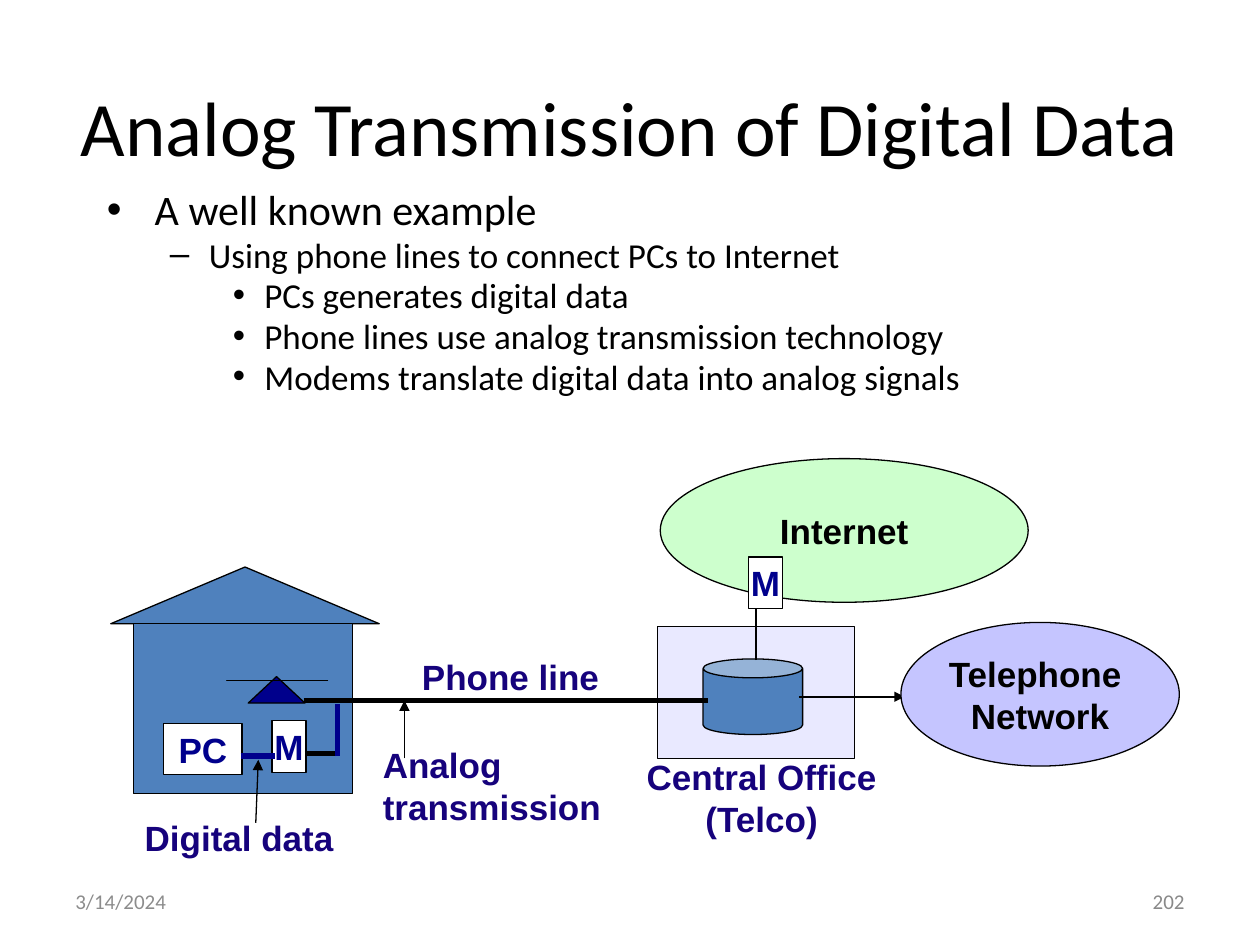
from dataclasses import dataclass
from math import cos, pi, sin

from lxml.etree import SubElement
from pptx import Presentation
from pptx.dml.color import RGBColor
from pptx.enum.shapes import MSO_CONNECTOR as Link, MSO_SHAPE as Shape
from pptx.enum.text import MSO_ANCHOR as Anchor, MSO_AUTO_SIZE as Fit, PP_ALIGN as Align
from pptx.oxml.ns import qn
from pptx.util import Inches, Pt

# Grid of 100 columns by 75 rows; every cell is a tenth of an inch
COLUMNS, ROWS = 100, 75
CELL = Inches(0.1)


@dataclass(frozen=True)
class Theme:
    black: str = "000000"
    white: str = "FFFFFF"
    building: str = "4F81BD"
    digital: str = "00008C"
    label: str = "16027C"
    office: str = "E9E9FF"
    telephone: str = "C5C5FF"
    internet: str = "CDFFCD"
    date: str = "8C8C8C"
    number: str = "898989"
    text_font: str = "Calibri"
    diagram_font: str = "Arial"
    title_size: int = 44
    lead_size: int = 24
    base_size: int = 20
    footer_size: int = 12
    thin: float = 0.75
    medium: float = 1
    thick: float = 3


THEME = Theme()

# Level: left indent and hanging indent in cells, line spacing, bullet, size
LEVELS = [
    (3.8, 3.8, 1.0, "•", THEME.lead_size),
    (8.1, 3.1, 0.8, "–", THEME.base_size),
    (12.5, 2.5, 0.8, "•", THEME.base_size),
]
POINTS = [
    (0, "A well known example"),
    (1, "Using phone lines to connect PCs to Internet"),
    (2, "PCs generates digital data"),
    (2, "Phone lines use analog transmission technology"),
    (2, "Modems translate digital data into analog signals"),
]


def cells(*values):
    return [round(value * CELL) for value in values]


def apply(target, formats):
    for name, value in formats.items():
        setattr(target, name, value)


def style_font(paragraph, size, color, face, bold=False):
    apply(paragraph.font, {"size": Pt(size), "name": face, "bold": bold})
    paragraph.font.color.rgb = RGBColor.from_string(color)


def style_outline(line, color, width):
    line.color.rgb = RGBColor.from_string(color)
    line.width = Pt(width)


def paint(part, fill, outline=THEME.black):
    part.shadow.inherit = False
    part.fill.solid()
    part.fill.fore_color.rgb = RGBColor.from_string(fill)
    style_outline(part.line, outline, THEME.thin)


def write(frame, lines, align, *font):
    for index, line in enumerate(lines):
        paragraph = frame.paragraphs[0] if index == 0 else frame.add_paragraph()
        apply(paragraph, {"text": line, "alignment": align})
        style_font(paragraph, *font)


def add_text(slide, box, lines, align, *font, **frame_formats):
    frame = slide.shapes.add_textbox(*cells(*box)).text_frame
    apply(frame, {"word_wrap": True, **frame_formats})
    write(frame, lines, align, *font)


def add_label(slide, box, *lines, align=Align.LEFT, wrap=True):
    add_text(slide, box, lines, align, THEME.base_size, THEME.label,
             THEME.diagram_font, True, word_wrap=wrap, auto_size=Fit.SHAPE_TO_FIT_TEXT)


def add_part(slide, kind, box, fill, *lines, color=THEME.black):
    part = slide.shapes.add_shape(kind, *cells(*box))
    paint(part, fill)
    if lines:
        apply(part.text_frame, {"word_wrap": False, "vertical_anchor": Anchor.MIDDLE})
        write(part.text_frame, lines, Align.CENTER, THEME.base_size, color,
              THEME.diagram_font, True)


def add_device(slide, box, name):
    add_part(slide, Shape.RECTANGLE, box, THEME.white, name, color=THEME.digital)


def add_link(slide, start, end, width=THEME.thin, color=THEME.black, arrow=False):
    link = slide.shapes.add_connector(Link.STRAIGHT, *cells(*start, *end))
    style_outline(link.line, color, width)
    if arrow:
        SubElement(link.line._get_or_add_ln(), qn("a:tailEnd"), type="triangle")
    SubElement(link._element.spPr, qn("a:effectLst"))


def add_handset(slide, center_x, base_y, outer, inner, steps=24):
    """Half ring between two half ellipses, each given as (x radius, y radius)."""
    angles = [pi * step / steps for step in range(steps + 1)]
    outline = [(center_x + rx * cos(angle), base_y - ry * sin(angle))
               for (rx, ry), sweep in ((outer, angles), (inner, angles[::-1]))
               for angle in sweep]
    builder = slide.shapes.build_freeform(*outline[0], scale=CELL)
    builder.add_line_segments(outline[1:], close=True)
    paint(builder.convert_to_shape(), THEME.digital)


def add_bullets(slide, box):
    frame = slide.shapes.add_textbox(*cells(*box)).text_frame
    frame.word_wrap = True
    for index, (level, text) in enumerate(POINTS):
        left, hanging, spacing, bullet, size = LEVELS[level]
        paragraph = frame.paragraphs[0] if index == 0 else frame.add_paragraph()
        properties = paragraph._p.get_or_add_pPr()
        for name, value in zip(("marL", "indent"), cells(left, -hanging)):
            properties.set(name, str(value))
        SubElement(properties, qn("a:buFont"), typeface=THEME.diagram_font)
        SubElement(properties, qn("a:buChar"), char=bullet)
        apply(paragraph, {"text": text, "level": level, "line_spacing": spacing})
        if index:
            paragraph.space_before = Pt(size * 0.2)
        style_font(paragraph, size, THEME.black, THEME.text_font)


def draw_house(slide):
    add_part(slide, Shape.ISOSCELES_TRIANGLE, (8.8, 45, 21.3, 4.5), THEME.building)
    add_part(slide, Shape.RECTANGLE, (10.6, 49.5, 17.4, 13.5), THEME.building)
    # Telephone
    add_part(slide, Shape.ISOSCELES_TRIANGLE, (19.7, 53.7, 4.5, 2.1), THEME.digital)
    add_handset(slide, 22, 54.3, outer=(3.8, 0.75), inner=(1.9, 0.4))


def draw_phone_line(slide):
    add_link(slide, (24.1, 55.6), (56.2, 55.6), THEME.thick)
    add_label(slide, (32.5, 51.5, 16.1, 4.3), "Phone line", wrap=False)
    add_label(slide, (29.4, 58.5, 25.3, 7.7), "Analog transmission")
    add_link(slide, (32.1, 60.2), (32.1, 55.6), arrow=True)


def draw_computer(slide):
    add_device(slide, (13, 57.4, 6.2, 4.1), "PC")
    add_device(slide, (21.6, 57.2, 2.7, 4.1), "M")
    add_link(slide, (19.1, 60), (21.8, 60), THEME.thick, THEME.digital)
    add_link(slide, (24.2, 59.8), (26.8, 59.8), THEME.thick)
    add_link(slide, (26.8, 60), (26.8, 55.9), THEME.thick, THEME.digital)
    add_label(slide, (10.5, 64.3, 17.6, 4.3), "Digital data")
    add_link(slide, (20.3, 65.3), (20.5, 60.3), arrow=True)


def draw_central_office(slide):
    add_part(slide, Shape.RECTANGLE, (52.2, 49.7, 15.6, 10.5), THEME.office)
    add_part(slide, Shape.CAN, (55.8, 52.3, 7.9, 6), THEME.building)
    add_label(slide, (50.1, 59.5, 20.7, 7.7), "Central Office", "(Telco)",
              align=Align.CENTER)


def draw_networks(slide):
    add_link(slide, (63.4, 55.3), (71.8, 55.3), THEME.medium, arrow=True)
    add_link(slide, (60, 52.4), (60, 46.3), arrow=True)
    add_part(slide, Shape.OVAL, (71.5, 49.4, 22.1, 11.4), THEME.telephone,
             "Telephone ", "Network")
    add_part(slide, Shape.OVAL, (52.4, 36.4, 29.2, 11.4), THEME.internet, "Internet")
    add_device(slide, (59.4, 44.2, 2.7, 4.1), "M")


def main():
    deck = Presentation()
    deck.slide_width, deck.slide_height = cells(COLUMNS, ROWS)
    slide = deck.slides.add_slide(deck.slide_layouts[6])

    # Heading and bullet list
    add_text(slide, (3.7, 5.8, 92.6, 8.3), ["Analog Transmission of Digital Data"],
             Align.CENTER, THEME.title_size, THEME.black, THEME.text_font,
             vertical_anchor=Anchor.MIDDLE)
    add_bullets(slide, (7.5, 14.1, 85, 52.5))

    # Diagram, from back to front
    for draw in (draw_house, draw_central_office, draw_phone_line,
                 draw_computer, draw_networks):
        draw(slide)

    # Footer
    for left, text, align, color in ((5, "3/14/2024", Align.LEFT, THEME.date),
                                     (71.7, "202", Align.RIGHT, THEME.number)):
        add_text(slide, (left, 69.5, 23.3, 4), [text], align, THEME.footer_size,
                 color, THEME.text_font, vertical_anchor=Anchor.MIDDLE)

    deck.save("out.pptx")


if __name__ == "__main__":
    main()
